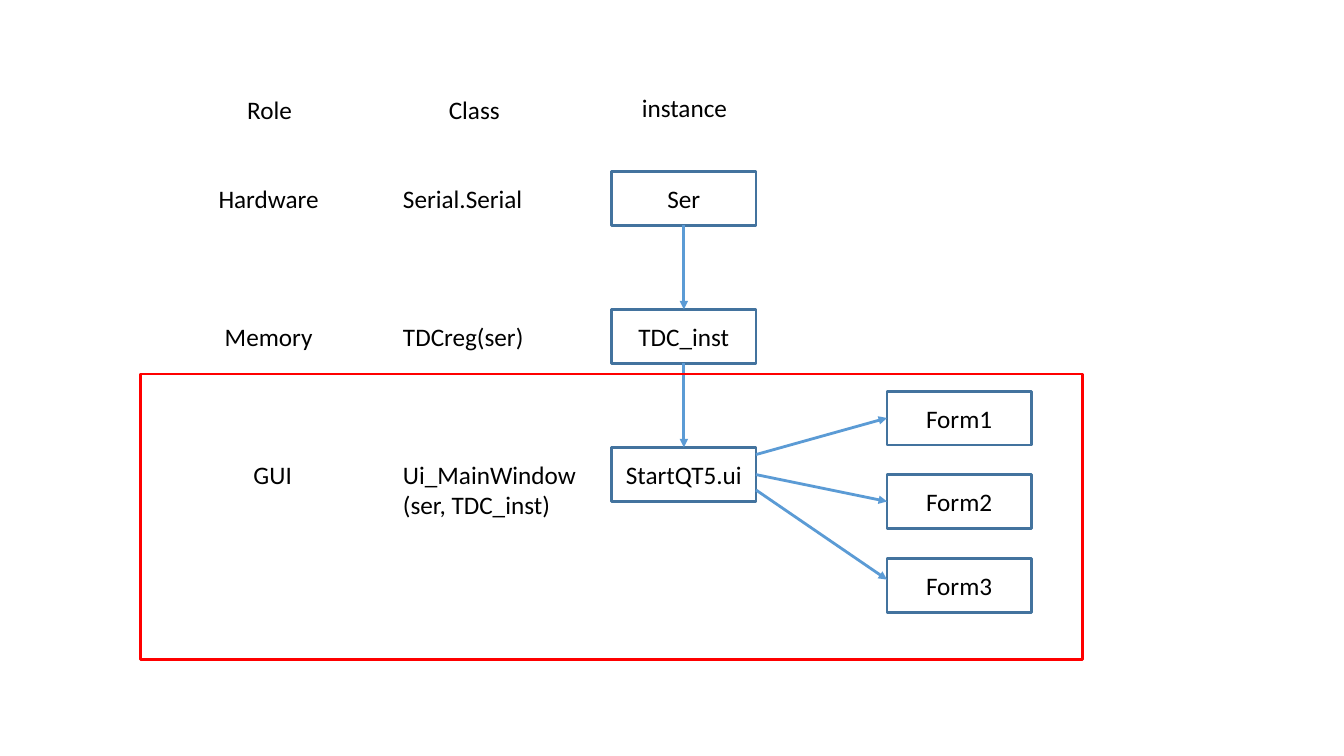
"""Build a slide that maps roles and classes to instances and GUI forms."""
from dataclasses import dataclass
from itertools import pairwise

from lxml import etree
from pptx import Presentation
from pptx.dml.color import RGBColor
from pptx.enum.shapes import MSO_CONNECTOR, MSO_SHAPE
from pptx.enum.text import MSO_ANCHOR, PP_ALIGN
from pptx.oxml.ns import qn
from pptx.shapes.autoshape import Shape
from pptx.shapes.connector import Connector
from pptx.util import Pt

RECTANGLE = MSO_SHAPE.RECTANGLE
STRAIGHT = MSO_CONNECTOR.STRAIGHT
MIDDLE = MSO_ANCHOR.MIDDLE
TOP = MSO_ANCHOR.TOP
CENTER = PP_ALIGN.CENTER
LEFT = PP_ALIGN.LEFT
BOTTOM_SITE, TOP_SITE = 2, 0


@dataclass(frozen=True)
class Theme:
    font: str = "Calibri"
    size: float = 18
    line_width: float = 2
    text: RGBColor = RGBColor(0x00, 0x00, 0x00)
    outline: RGBColor = RGBColor(0x43, 0x73, 0x9E)
    arrow: RGBColor = RGBColor(0x5B, 0x9B, 0xD5)
    highlight: RGBColor = RGBColor(0xFF, 0x00, 0x00)


@dataclass(frozen=True)
class Box:
    left: float
    top: float
    width: float
    height: float
    text: str = ""


@dataclass(frozen=True)
class Layer:
    role: str
    role_center: float
    class_name: str
    instance: str


THEME = Theme()
BOX_WIDTH, BOX_HEIGHT = 103, 38.4
LABEL_WIDTH, LABEL_HEIGHT = 100, 29
CLASS_LEFT, CLASS_WIDTH = 280.8, 150
INSTANCE_LEFT, FIRST_LAYER_TOP, LAYER_STEP = 437, 122.4, 98.6
FORM_LEFT, FIRST_FORM_TOP, FORM_STEP = 633.6, 279.4, 59.8
GUI_AREA = Box(100.2, 267.2, 673.2, 203.8)
HEADINGS = (("Role", 192.6, 63.6), ("Class", 338.8, 63.6), ("instance", 488.9, 62.4))
LAYERS = (
    Layer("Hardware", 191.9, "Serial.Serial", "Ser"),
    Layer("Memory", 191.9, "TDCreg(ser)", "TDC_inst"),
    Layer("GUI", 194.8, "Ui_MainWindow\n(ser, TDC_inst)", "StartQT5.ui"),
)
FORM_ARROWS = ((324.7, 298.6), (339, 358.2), (350, 414))

deck = Presentation()
deck.slide_width, deck.slide_height = Pt(960), Pt(540)
slide = deck.slides.add_slide(deck.slide_layouts[6])


def write(shape: Shape, text: str, align: PP_ALIGN, anchor: MSO_ANCHOR) -> None:
    frame = shape.text_frame
    frame.text = text
    frame.word_wrap = True
    frame.vertical_anchor = anchor
    font_format = {"name": THEME.font, "size": Pt(THEME.size)}
    for paragraph in frame.paragraphs:
        paragraph.alignment = align
        for key, value in font_format.items():
            setattr(paragraph.font, key, value)
        paragraph.font.color.rgb = THEME.text


def add_label(box: Box, align: PP_ALIGN = CENTER) -> None:
    label = slide.shapes.add_textbox(
        Pt(box.left), Pt(box.top), Pt(box.width), Pt(box.height))
    write(label, box.text, align, TOP)


def add_centered_label(text: str, center: float, top: float) -> None:
    add_label(Box(center - LABEL_WIDTH / 2, top, LABEL_WIDTH, LABEL_HEIGHT, text))


def add_box(box: Box, color: RGBColor = THEME.outline) -> Shape:
    shape = slide.shapes.add_shape(
        RECTANGLE, Pt(box.left), Pt(box.top), Pt(box.width), Pt(box.height))
    shape.shadow.inherit = False
    shape.fill.background()
    shape.line.color.rgb = color
    shape.line.width = Pt(THEME.line_width)
    if box.text:
        write(shape, box.text, CENTER, MIDDLE)
    return shape


def add_arrow(x1: float, y1: float, x2: float, y2: float) -> Connector:
    arrow = slide.shapes.add_connector(STRAIGHT, Pt(x1), Pt(y1), Pt(x2), Pt(y2))
    arrow.line.color.rgb = THEME.arrow
    arrow.line.width = Pt(THEME.line_width)
    etree.SubElement(arrow.line._get_or_add_ln(), qn("a:tailEnd"), type="triangle")
    etree.SubElement(arrow._element.spPr, qn("a:effectLst"))
    return arrow


for heading, center, top in HEADINGS:
    add_centered_label(heading, center, top)

instances = []
for row, layer in enumerate(LAYERS):
    layer_top = FIRST_LAYER_TOP + row * LAYER_STEP
    label_top = layer_top + (BOX_HEIGHT - LABEL_HEIGHT) / 2
    class_height = LABEL_HEIGHT + 22 * layer.class_name.count("\n")
    add_centered_label(layer.role, layer.role_center, label_top)
    add_label(Box(CLASS_LEFT, label_top, CLASS_WIDTH, class_height, layer.class_name), LEFT)
    instances.append(
        add_box(Box(INSTANCE_LEFT, layer_top, BOX_WIDTH, BOX_HEIGHT, layer.instance)))

for upper, lower in pairwise(instances):
    link = add_arrow(0, 0, 0, 0)
    link.begin_connect(upper, BOTTOM_SITE)
    link.end_connect(lower, TOP_SITE)

for index, (start_y, end_y) in enumerate(FORM_ARROWS):
    form_top = FIRST_FORM_TOP + index * FORM_STEP
    add_box(Box(FORM_LEFT, form_top, BOX_WIDTH, BOX_HEIGHT, f"Form{index + 1}"))
    add_arrow(INSTANCE_LEFT + BOX_WIDTH, start_y, FORM_LEFT, end_y)

add_box(GUI_AREA, THEME.highlight)
deck.save("out.pptx")
